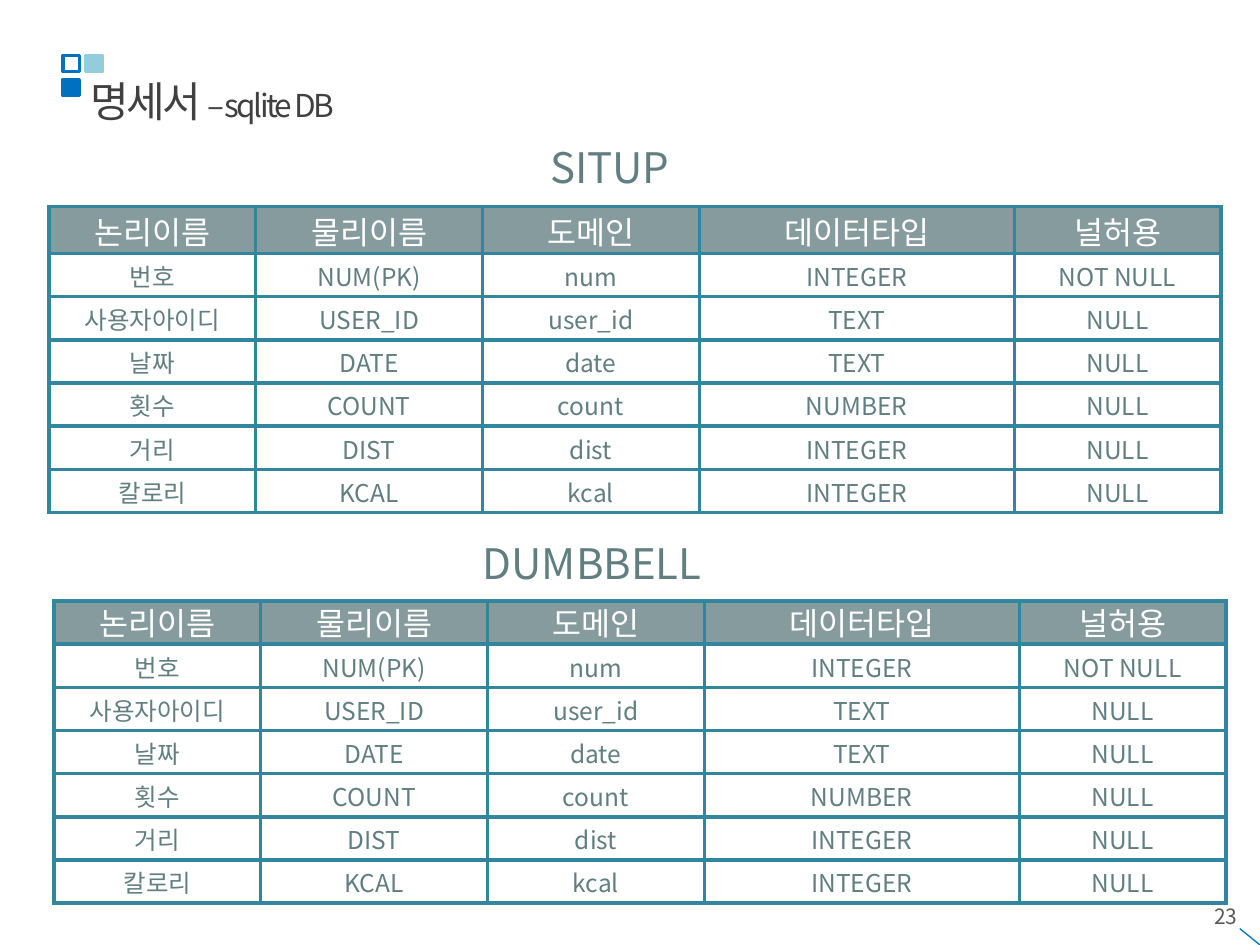
from lxml import etree
from pptx import Presentation
from pptx.dml.color import RGBColor
from pptx.enum.shapes import MSO_CONNECTOR as Connector, MSO_SHAPE as Shape
from pptx.enum.text import MSO_ANCHOR as Anchor, MSO_AUTO_SIZE as AutoSize, PP_ALIGN as Align
from pptx.oxml.ns import qn
from pptx.util import Inches, Pt

FONT = "Noto Sans CJK KR"
BLUE, SKY, TEAL, SLATE = "0070C0", "93CDDD", "31859C", "617E81"
COLUMNS = [1.64, 1.8, 1.72, 2.5, 1.64]
ROWS = [
    ["논리이름", "물리이름", "도메인", "데이터타입", "널허용"],
    ["번호", "NUM(PK)", "num", "INTEGER", "NOT NULL"],
    ["사용자아이디", "USER_ID", "user_id", "TEXT", "NULL"],
    ["날짜", "DATE", "date", "TEXT", "NULL"],
    ["횟수", "COUNT", "count", "NUMBER", "NULL"],
    ["거리", "DIST", "dist", "INTEGER", "NULL"],
    ["칼로리", "KCAL", "kcal", "INTEGER", "NULL"],
]


def color(value):
    return RGBColor.from_string(value)


def set_values(target, values):
    for name, value in values.items():
        setattr(target, name, value)


def add_span(para, text, size, tint, spacing=None):
    span = para.add_run()
    span.text = text
    set_values(span.font, {"size": Pt(size), "name": FONT})
    span.font.color.rgb = color(tint)
    props = span.font._element
    etree.SubElement(props, qn("a:ea")).set("typeface", FONT)
    if spacing is not None:
        props.set("spc", str(round(spacing * 100)))


def add_text(page, box, spans, align=Align.LEFT, fit=AutoSize.SHAPE_TO_FIT_TEXT):
    frame = page.shapes.add_textbox(*map(Inches, box)).text_frame
    set_values(frame, {"word_wrap": True, "auto_size": fit})
    para = frame.paragraphs[0]
    para.alignment = align
    for span in spans:
        add_span(para, *span)


def add_ornament(page, left, top):
    size = 0.13
    squares = [(0, 0.19, BLUE, BLUE), (0, 0, None, BLUE), (0.18, 0, SKY, SKY)]
    for across, down, fill, line in squares:
        box = (left + across, top + down, size, size)
        square = page.shapes.add_shape(Shape.RECTANGLE, *map(Inches, box))
        square.shadow.inherit = False
        if fill:
            square.fill.solid()
            square.fill.fore_color.rgb = color(fill)
        else:
            square.fill.background()
        square.line.color.rgb = color(line)
        square.line.width = Pt(2)


def add_corner(page, box):
    add_text(page, box, [("23", 12, "595959")], Align.RIGHT, AutoSize.NONE)
    ends = map(Inches, (10, 7.5, 9.84, 7.37))
    stroke = page.shapes.add_connector(Connector.STRAIGHT, *ends)
    stroke.line.color.rgb = color(BLUE)
    stroke.line.width = Pt(0.75)
    etree.SubElement(stroke._element.spPr, qn("a:effectLst"))


def add_borders(cell):
    props = cell._tc.get_or_add_tcPr()
    for index, side in enumerate(["lnL", "lnR", "lnT", "lnB"]):
        border = etree.Element(qn(f"a:{side}"), w=str(Pt(2.25)))
        fill = etree.SubElement(border, qn("a:solidFill"))
        etree.SubElement(fill, qn("a:srgbClr"), val=TEAL)
        props.insert(index, border)


def fill_cell(cell, text, is_header, spacing):
    set_values(cell, {
        "margin_left": Inches(0.01), "margin_right": Inches(0.01),
        "margin_top": Inches(0.01), "margin_bottom": 0,
        "vertical_anchor": Anchor.MIDDLE,
    })
    para = cell.text_frame.paragraphs[0]
    para.alignment = Align.CENTER
    if is_header:
        para.line_spacing = spacing
        cell.fill.solid()
        cell.fill.fore_color.rgb = color(SLATE)
        tint = cell._tc.tcPr.find(".//" + qn("a:srgbClr"))
        etree.SubElement(tint, qn("a:alpha"), val="77000")
        add_span(para, text, 18, "FFFFFF")
    else:
        cell.fill.background()
        add_span(para, text, 14, SLATE)
    add_borders(cell)


def add_schema(page, box, header_spacing):
    frame = page.shapes.add_table(len(ROWS), len(COLUMNS), *map(Inches, box))
    table = frame.table
    set_values(table, {"first_row": False, "horz_banding": False})
    for column, width in zip(table.columns, COLUMNS):
        column.width = Inches(width)
    for row_index, (row, texts) in enumerate(zip(table.rows, ROWS)):
        row.height = Inches(box[3] / len(ROWS))
        for cell, text in zip(row.cells, texts):
            fill_cell(cell, text, row_index == 0, header_spacing)


def main():
    deck = Presentation()
    set_values(deck, {"slide_width": Inches(10), "slide_height": Inches(7.5)})
    page = deck.slides.add_slide(deck.slide_layouts[6])
    add_corner(page, (7.59, 7.12, 2.33, 0.4))
    add_ornament(page, 0.5, 0.44)
    add_schema(page, (0.39, 1.64, 9.3, 2.4), 1.0)
    add_text(page, (3.59, 1.07, 2.5, 0.49), [("SITUP", 24, SLATE)], Align.CENTER)
    add_text(page, (3.06, 4.22, 3.28, 0.49), [("DUMBBELL", 24, SLATE)], Align.CENTER)
    add_schema(page, (0.43, 4.77, 9.3, 2.4), 0.9)
    title = [("명세서 ", 24, "404040", -1.5), ("–sqlite DB", 18, "404040", -1.5)]
    add_text(page, (0.62, 0.55, 8.59, 0.5), title)
    deck.save("out.pptx")


if __name__ == "__main__":
    main()
